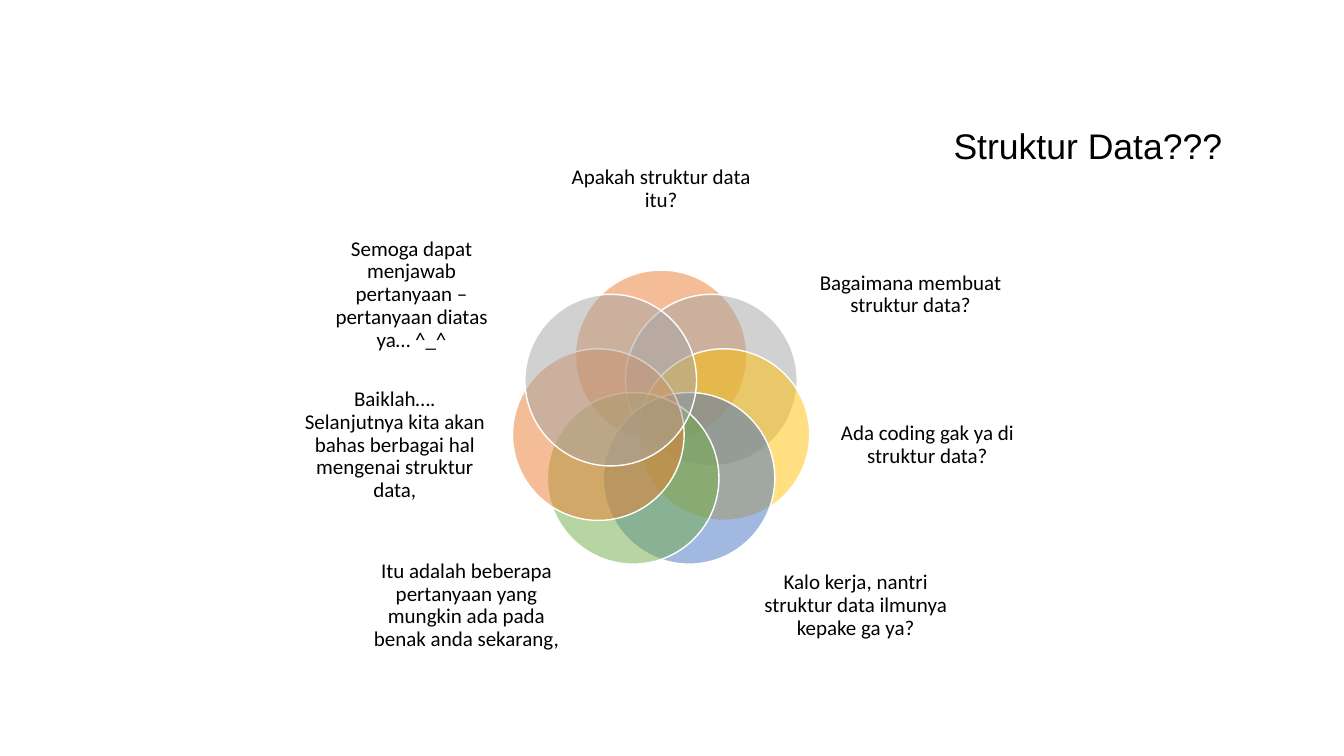
from dataclasses import dataclass
from math import cos, pi, sin

from lxml.etree import SubElement
from pptx import Presentation
from pptx.dml.color import RGBColor
from pptx.enum.shapes import MSO_SHAPE
from pptx.enum.text import MSO_ANCHOR, PP_ALIGN
from pptx.oxml.ns import qn
from pptx.util import Pt

TITLE = "Struktur Data???"

# Clockwise from the top of the ring
QUESTIONS = [
    "Apakah struktur data itu?",
    "Bagaimana membuat struktur data?",
    "Ada coding gak ya di struktur data?",
    "Kalo kerja, nantri struktur data ilmunya kepake ga ya?",
    "Itu adalah beberapa pertanyaan yang mungkin ada pada benak anda sekarang,",
    "Baiklah…. Selanjutnya kita akan bahas berbagai hal mengenai struktur data,",
    "Semoga dapat menjawab pertanyaan – pertanyaan diatas ya… ^_^",
]


@dataclass(frozen=True)
class Theme:
    petals: tuple = ("ED7D31", "A5A5A5", "FFC000", "4472C4", "70AD47")
    petal_opacity: int = 50
    outline: str = "FFFFFF"
    text: str = "000000"
    title_font: str = "Arial"
    label_font: str = "Calibri"
    title_size: float = 25.4
    label_size: float = 15


THEME = Theme()

SLIDE_WIDTH, SLIDE_HEIGHT = 960, 540
RING_X, RING_Y = 472.2, 300.2
RING_RADIUS = 46
PETAL_DIAMETER = 122.6
TITLE_BOX = (674.6, 85, 220, 37.4)

# Each row of labels: distance from the ring's axis, top, width, height
LABEL_ROWS = [
    (0, 97.9, 140.4, 74.9),
    (178.2, 169.2, 132.5, 82.8),
    (190.2, 274.3, 130.3, 87.8),
    (139, 392.4, 140.4, 80.6),
]


def add_text(slide, text, box, *, font, size, align=PP_ALIGN.LEFT,
             anchor=MSO_ANCHOR.TOP, insets=(0, 0), line_spacing=1.0):
    frame = slide.shapes.add_textbox(*map(Pt, box)).text_frame
    frame.word_wrap = True
    frame.vertical_anchor = anchor
    frame.margin_left = frame.margin_right = Pt(insets[0])
    frame.margin_top = frame.margin_bottom = Pt(insets[1])
    paragraph = frame.paragraphs[0]
    paragraph.alignment = align
    paragraph.line_spacing = line_spacing
    run = paragraph.add_run()
    run.text = text
    run.font.name = font
    run.font.size = Pt(size)
    run.font.color.rgb = RGBColor.from_string(THEME.text)


def add_petal(slide, index):
    angle = 2 * pi * index / len(QUESTIONS)
    left = RING_X + RING_RADIUS * sin(angle) - PETAL_DIAMETER / 2
    top = RING_Y - RING_RADIUS * cos(angle) - PETAL_DIAMETER / 2
    petal = slide.shapes.add_shape(
        MSO_SHAPE.OVAL, Pt(left), Pt(top), Pt(PETAL_DIAMETER), Pt(PETAL_DIAMETER))
    petal.shadow.inherit = False
    petal.fill.solid()
    color = THEME.petals[index % len(THEME.petals)]
    petal.fill.fore_color.rgb = RGBColor.from_string(color)
    fill_color = petal.element.spPr.find(qn("a:solidFill"))[0]
    SubElement(fill_color, qn("a:alpha"), val=str(THEME.petal_opacity * 1000))
    petal.line.color.rgb = RGBColor.from_string(THEME.outline)
    petal.line.width = Pt(1)


def label_box(index):
    """Labels on the left half mirror those on the right."""
    row = min(index, len(QUESTIONS) - index)
    side = 1 if row == index else -1
    offset, top, width, height = LABEL_ROWS[row]
    return RING_X + side * offset - width / 2, top, width, height


def main():
    presentation = Presentation()
    presentation.slide_width = Pt(SLIDE_WIDTH)
    presentation.slide_height = Pt(SLIDE_HEIGHT)
    slide = presentation.slides.add_slide(presentation.slide_layouts[6])

    add_text(slide, TITLE, TITLE_BOX, font=THEME.title_font,
             size=THEME.title_size, insets=(6.5, 3.6))
    for index, question in enumerate(QUESTIONS):
        add_petal(slide, index)
        add_text(slide, question, label_box(index), font=THEME.label_font,
                 size=THEME.label_size, align=PP_ALIGN.CENTER,
                 anchor=MSO_ANCHOR.MIDDLE, line_spacing=0.9)

    presentation.save("out.pptx")


if __name__ == "__main__":
    main()
